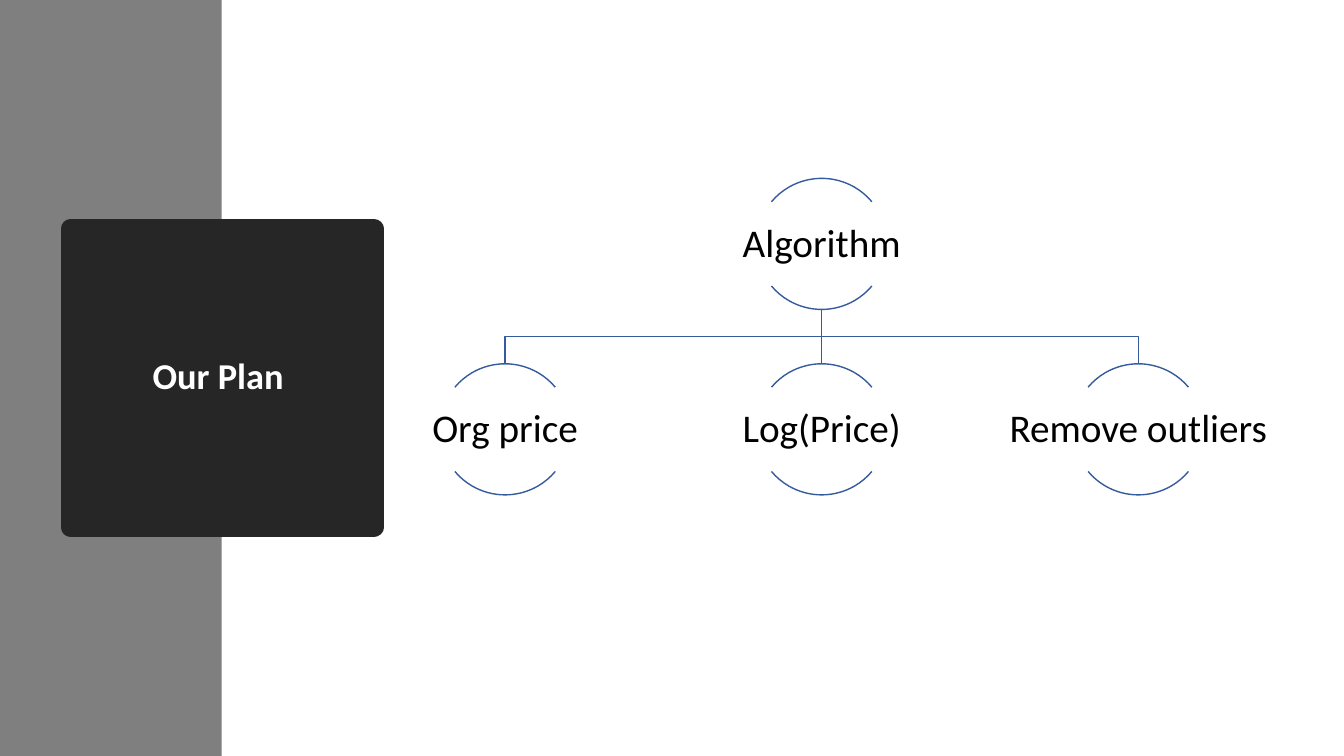
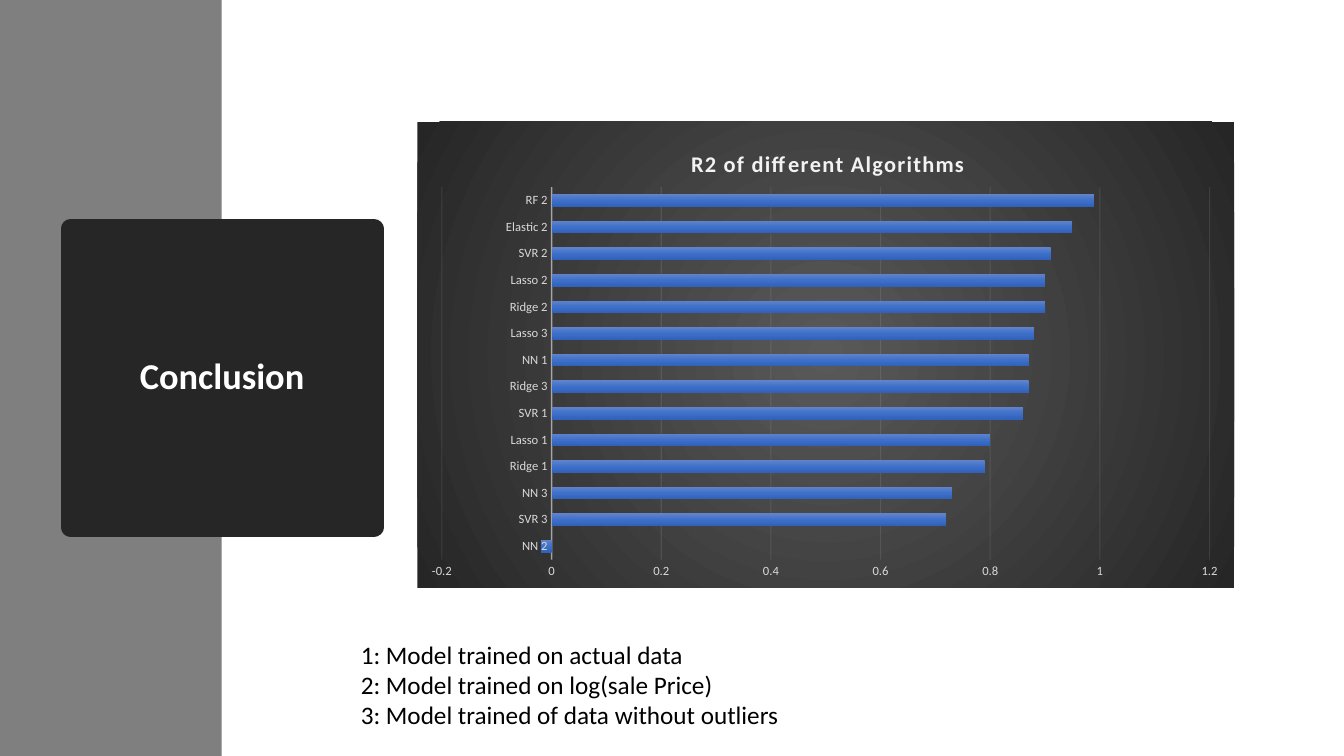
import pptx
import pptx.chart.data
import pptx.dml.color
import pptx.enum.chart
import pptx.enum.shapes
import pptx.enum.text
import pptx.oxml
import pptx.oxml.ns
import pptx.util

RGB = pptx.dml.color.RGBColor
SHAPE = pptx.enum.shapes.MSO_SHAPE
ALIGN = pptx.enum.text.PP_ALIGN
FIT = pptx.enum.text.MSO_AUTO_SIZE
MIDDLE = pptx.enum.text.MSO_ANCHOR.MIDDLE
Pt = pptx.util.Pt

PX = 9144  # EMU in one px, 100 px to the inch
WIDE, HIGH = 1333, 750

WHITE = RGB(0xFF, 0xFF, 0xFF)
BLACK = RGB(0, 0, 0)
GREY = RGB(0x7F, 0x7F, 0x7F)
DARK = RGB(0x26, 0x26, 0x26)
BLUE = RGB(0x36, 0x5B, 0x9D)
PALE = RGB(0xF2, 0xF2, 0xF2)
SILVER = RGB(0xD9, 0xD9, 0xD9)
MID = RGB(0x59, 0x59, 0x59)
BAR_TOP = RGB(0x61, 0x83, 0xCB)
BAR_MID = RGB(0x3E, 0x70, 0xCA)
BAR_LOW = RGB(0x30, 0x62, 0xBB)

SCORES = {
    "NN 2": -0.02, "SVR 3": 0.72, "NN 3": 0.73, "Ridge 1": 0.79,
    "Lasso 1": 0.8, "SVR 1": 0.86, "Ridge 3": 0.87, "NN 1": 0.87,
    "Lasso 3": 0.88, "Ridge 2": 0.9, "Lasso 2": 0.9, "SVR 2": 0.91,
    "Elastic 2": 0.95, "RF 2": 0.99,
}


def px(*sizes):
    return [size * PX for size in sizes]


def parse(tag, inner):
    names = pptx.oxml.ns.nsdecls("a", "c")
    return pptx.oxml.parse_xml(f"<{tag} {names}>{inner}</{tag}>")


def blend(colors, mode):
    """Return a gradient fill with evenly spaced stops."""
    step = 100000 // (len(colors) - 1)
    stops = "".join(
        f'<a:gs pos="{i * step}"><a:srgbClr val="{color}"/></a:gs>'
        for i, color in enumerate(colors))
    return parse("a:gradFill", f"<a:gsLst>{stops}</a:gsLst>{mode}")


def place(part, index, **sizes):
    """Fix a chart part at fractions of the chart's size."""
    for old in part.xpath("c:layout"):
        part.remove(old)
    inner = '<c:layoutTarget val="inner"/>' if "w" in sizes else ""
    inner += '<c:xMode val="edge"/><c:yMode val="edge"/>'
    inner += "".join(f'<c:{key} val="{val}"/>' for key, val in sizes.items())
    part.insert(index, parse(
        "c:layout", f"<c:manualLayout>{inner}</c:manualLayout>"))


def style(font, size, color, bold=False):
    font.name = "Calibri"
    font.size = Pt(size)
    font.color.rgb = color
    font.bold = bold


class Deck:
    """Holds the shared style and the slide being drawn."""

    def __init__(self):
        self.file = pptx.Presentation()
        self.file.slide_width, self.file.slide_height = px(WIDE, HIGH)
        self.slide = None

    def start(self, title):
        """Add a slide with the side band and the title block."""
        self.slide = self.file.slides.add_slide(self.file.slide_layouts[5])
        shapes = self.slide.shapes
        band = shapes.add_shape(SHAPE.RECTANGLE, *px(0, 0, 220, HIGH))
        band.shadow.inherit = False
        band.fill.solid()
        band.fill.fore_color.rgb = GREY
        band.line.fill.background()
        shapes.element.insert(2, band.element)

        block = shapes.title
        block.left, block.top, block.width, block.height = px(70, 227, 301, 296)
        block.fill.solid()
        block.fill.fore_color.rgb = DARK
        self.stroke(block.line, DARK, 13.75)
        frame = block.text_frame
        frame.text = title
        frame.auto_size = FIT.NONE
        frame.word_wrap = True
        frame.vertical_anchor = MIDDLE
        para = frame.paragraphs[0]
        para.alignment = ALIGN.CENTER
        para.line_spacing = 0.9
        style(para.font, 26, WHITE, True)

    def stroke(self, line, color=BLUE, width=1):
        line.color.rgb = color
        line.width = Pt(width)

    def hollow(self, shape):
        shape.shadow.inherit = False
        shape.fill.background()
        self.stroke(shape.line)

    def text(self, box, lines, size):
        frame = self.slide.shapes.add_textbox(*px(*box)).text_frame
        frame.text = "\n".join(lines)
        for para in frame.paragraphs:
            style(para.font, size, BLACK)
        return frame

    def node(self, mid, top, label):
        """Draw a label between an upper and a lower arc."""
        for ends in ((132, 192), (24, 84)):
            arc = self.slide.shapes.add_shape(
                SHAPE.ARC, *px(mid - 65, top, 130, 130))
            arc.adjustments[0], arc.adjustments[1] = ends
            self.hollow(arc)
        frame = self.text((mid - 130, top + 24, 260, 83), [label], 28)
        frame.word_wrap = True
        frame.vertical_anchor = MIDDLE
        frame.margin_left = frame.margin_right = 2 * PX
        frame.margin_top = frame.margin_bottom = 2 * PX
        frame.paragraphs[0].alignment = ALIGN.CENTER
        frame.paragraphs[0].line_spacing = 0.9

    def link(self, start, end):
        """Join two points, with an elbow where they are not in line."""
        (x, y), (right, low) = start, end
        shapes = self.slide.shapes
        if x == right:
            line = shapes.add_connector(
                pptx.enum.shapes.MSO_CONNECTOR.STRAIGHT, *px(x, y, right, low))
            self.stroke(line.line)
            line.element.spPr.append(parse("a:effectLst", ""))
            return
        half = (y + low) // 2
        build = shapes.build_freeform(x, y, scale=PX)
        build.add_line_segments([(x, half), (right, half), end], close=False)
        self.hollow(build.convert_to_shape())

    def bars(self, box, title, scores):
        data = pptx.chart.data.CategoryChartData()
        data.categories = list(scores)
        data.add_series("Series 1", list(scores.values()))
        chart = self.slide.shapes.add_chart(
            pptx.enum.chart.XL_CHART_TYPE.BAR_CLUSTERED, *px(*box), data).chart
        root = chart.element
        style(chart.font, 10, BLACK)
        chart.has_legend = False

        chart.has_title = True
        frame = chart.chart_title.text_frame
        frame.text = title
        style(frame.paragraphs[0].font, 16, PALE, True)
        root.xpath("//c:title//a:defRPr")[0].set("spc", "100")
        place(root.xpath("//c:title")[0], 1, x=0.33, y=0.05)
        place(root.xpath("//c:plotArea")[0], 0, x=0.03, y=0.14, w=0.94, h=0.8)

        plot = chart.plots[0]
        plot.vary_by_categories = False
        plot.gap_width = 115
        plot.overlap = -20
        series = plot.series[0]
        series.invert_if_negative = False
        series.format.fill.background()
        empty = root.xpath("//c:ser/c:spPr/a:noFill")[0]
        empty.getparent().replace(empty, blend(
            [BAR_TOP, BAR_MID, BAR_LOW], '<a:lin ang="5400000" scaled="0"/>'))

        names, values = chart.category_axis, chart.value_axis
        for axis in (names, values):
            axis.major_tick_mark = pptx.enum.chart.XL_TICK_MARK.NONE
            axis.minor_tick_mark = pptx.enum.chart.XL_TICK_MARK.NONE
            style(axis.tick_labels.font, 9, SILVER)
        values.minimum_scale, values.maximum_scale = -0.2, 1.2
        values.major_unit = 0.2
        values.has_major_gridlines = True
        values.format.line.fill.background()
        self.stroke(names.format.line, PALE, 1)
        self.stroke(values.major_gridlines.format.line, PALE, 0.75)
        for part, share in (("catAx/c:spPr", 54), ("majorGridlines", 10)):
            color = root.xpath(f"//c:{part}//a:srgbClr")[0]
            alpha = parse("a:alpha", "")
            alpha.set("val", str(share * 1000))
            color.append(alpha)

        back = parse("c:spPr", "")
        back.append(blend([MID, DARK], (
            '<a:path path="circle"><a:fillToRect l="50000" t="50000" '
            'r="50000" b="50000"/></a:path>')))
        back.append(parse("a:ln", "<a:noFill/>"))
        root.xpath("c:chart")[0].addnext(back)


def main():
    deck = Deck()

    deck.start("Our Plan ")
    mid, gap, top, low = 815, 314, 177, 361
    leaves = ["Org price", "Log(Price)", "Remove outliers"]
    spots = [mid + gap * (i - 1) for i in range(len(leaves))]
    for spot in spots:
        deck.link((mid, top + 130), (spot, low))
    deck.node(mid, top, "Algorithm")
    for spot, leaf in zip(spots, leaves):
        deck.node(spot, low, leaf)

    deck.start("Conclusion")
    deck.bars((414, 121, 810, 462), "R2 of different Algorithms", SCORES)
    notes = deck.text((348, 629, 439, 101), [
        "1: Model trained on actual data",
        "2: Model trained on log(sale Price)",
        "3: Model trained of data without outliers"], 18)
    notes.word_wrap = False
    notes.auto_size = FIT.SHAPE_TO_FIT_TEXT

    deck.file.save("out.pptx")


if __name__ == "__main__":
    main()
